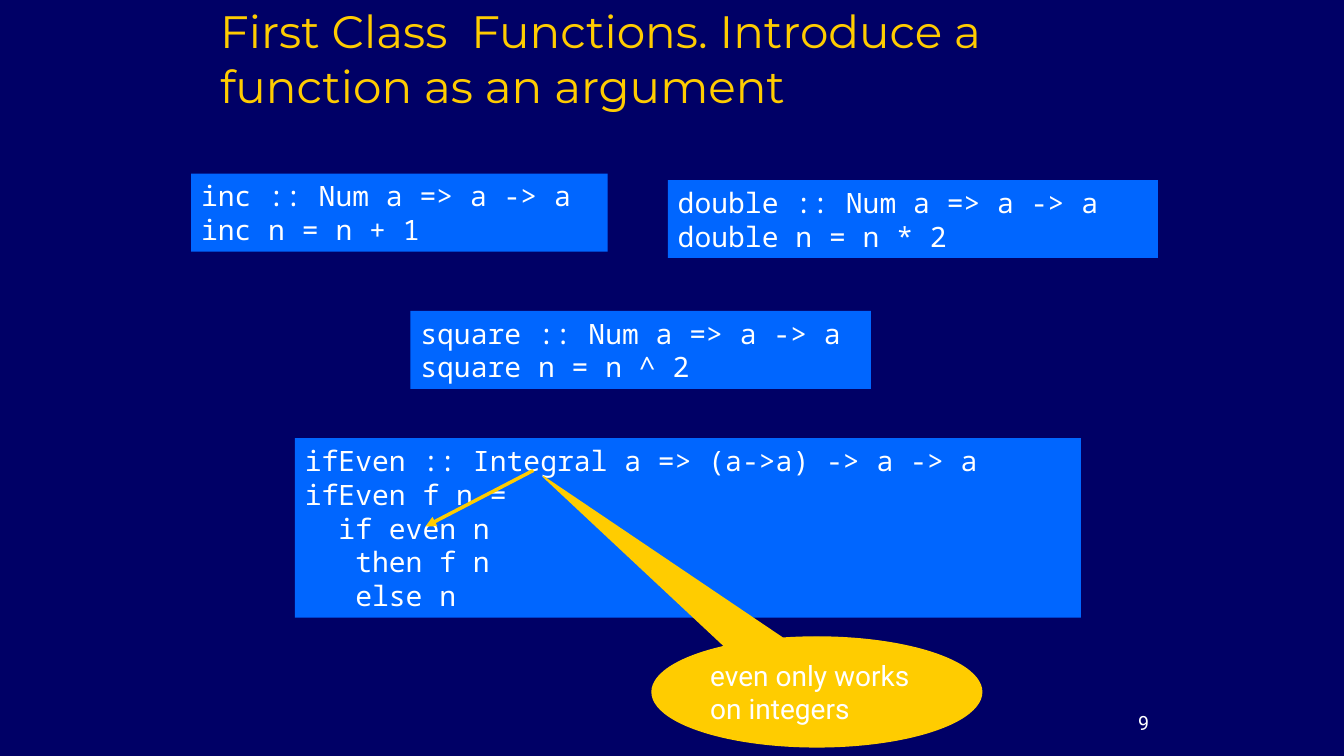
from pptx import Presentation
from pptx.dml.color import RGBColor as Rgb
from pptx.enum.shapes import MSO_CONNECTOR as Line, MSO_SHAPE as Kind
from pptx.enum.text import MSO_ANCHOR as Anchor, MSO_AUTO_SIZE as Fit, PP_ALIGN as Align
from pptx.oxml.ns import qn
from pptx.util import Pt
from lxml.etree import SubElement as sub

HUES = {"navy": "000066", "blue": "0066FF", "gold": "FFCC00", "white": "FFFFFF"}
HEAD, BODY, CODE = "Montserrat", "Roboto", "Noto Sans Mono"


def hue(name):
    return Rgb.from_string(HUES[name])


def write(frame, text, font=BODY, size=20, color="white", align=Align.LEFT,
          anchor=Anchor.MIDDLE, fit=Fit.NONE, after=0):
    """Fill a text frame, one paragraph per line of text."""
    frame.word_wrap = True
    frame.auto_size = fit
    frame.vertical_anchor = anchor
    frame.text = text
    for para in frame.paragraphs:
        para.alignment = align
        para.space_before = Pt(0)
        para.space_after = Pt(after)
        for run in para.runs:
            run.font.name = font
            run.font.size = Pt(size)
            run.font.color.rgb = hue(color)


class Page:
    def __init__(self, deck):
        self.slide = deck.slides.add_slide(deck.slide_layouts[5])
        self.shapes = self.slide.shapes
        back = self.slide.background.fill
        back.solid()
        back.fore_color.rgb = hue("navy")

    def title(self, text, x, y, w, h):
        head = self.shapes.title
        head.left, head.top, head.width, head.height = map(Pt, (x, y, w, h))
        write(head.text_frame, text, font=HEAD, size=32.4, color="gold",
              anchor=Anchor.BOTTOM)

    def label(self, text, x, y, w, h, **style):
        box = self.shapes.add_textbox(*map(Pt, (x, y, w, h)))
        write(box.text_frame, text, **style)

    def block(self, kind, text, x, y, w, h, fill, **style):
        box = self.shapes.add_shape(kind, *map(Pt, (x, y, w, h)))
        box.shadow.inherit = False
        box.fill.solid()
        box.fill.fore_color.rgb = hue(fill)
        box.line.fill.background()
        write(box.text_frame, text, fit=Fit.SHAPE_TO_FIT_TEXT, **style)
        return box

    def code(self, text, x, y, w, h):
        self.block(Kind.RECTANGLE, text, x, y, w, h, "blue", font=CODE)

    def callout(self, text, x, y, w, h, tip):
        """Draw an oval whose tip is offset from its centre, as shares of its size."""
        oval = self.block(Kind.OVAL_CALLOUT, text, x, y, w, h, "gold")
        oval.line.color.rgb = hue("gold")
        oval.line.width = Pt(1)
        oval.adjustments[0], oval.adjustments[1] = tip

    def arrow(self, x1, y1, x2, y2):
        link = self.shapes.add_connector(Line.STRAIGHT, *map(Pt, (x1, y1, x2, y2)))
        link.line.color.rgb = hue("gold")
        link.line.width = Pt(2.5)
        props = link._element.spPr
        sub(props.find(qn("a:ln")), qn("a:tailEnd"), type="triangle")
        sub(props, qn("a:effectLst"))


def main():
    deck = Presentation()
    deck.slide_width, deck.slide_height = Pt(960), Pt(540)
    page = Page(deck)
    page.title("First Class  Functions. Introduce a function as an argument",
               150, 30, 612, 54)
    page.label("9", 780, 504, 48, 24, size=14, align=Align.RIGHT,
               anchor=Anchor.TOP, after=6)

    page.code("inc :: Num a => a -> a\ninc n = n + 1", 136.5, 124, 297.5, 55.7)
    page.code("double :: Num a => a -> a\ndouble n = n * 2", 477, 128.6, 350, 55.7)
    page.code("square :: Num a => a -> a\nsquare n = n ^ 2", 293.2, 222, 329, 55.7)
    page.code("ifEven :: Integral a => (a->a) -> a -> a\n"
              "ifEven f n =\n"
              "  if even n\n"
              "   then f n\n"
              "   else n", 210.7, 313, 561.5, 128.3)

    page.arrow(381, 336, 304, 376)
    page.callout("even only works on integers", 465.8, 455, 235.5, 78.5,
                 tip=(-0.83, -1.96))
    deck.save("out.pptx")


if __name__ == "__main__":
    main()
